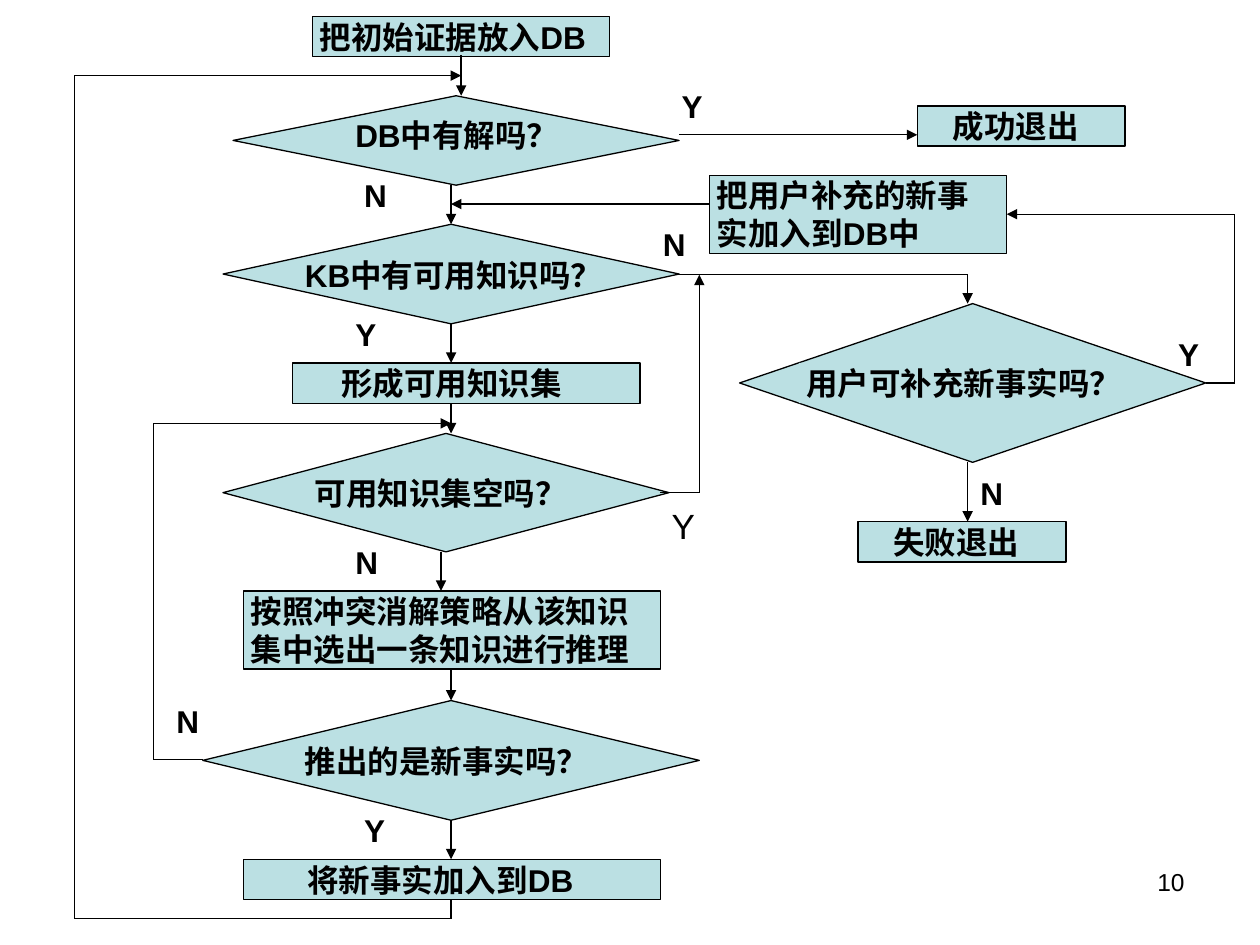
from dataclasses import dataclass

from lxml import etree
from pptx import Presentation
from pptx.dml.color import RGBColor
from pptx.enum.shapes import MSO_CONNECTOR, MSO_SHAPE
from pptx.enum.text import MSO_ANCHOR, PP_ALIGN
from pptx.oxml.ns import qn
from pptx.util import Inches, Pt

RECTANGLE, DIAMOND = MSO_SHAPE.RECTANGLE, MSO_SHAPE.DIAMOND
STRAIGHT = MSO_CONNECTOR.STRAIGHT
TOP = MSO_ANCHOR.TOP
LEFT, RIGHT = PP_ALIGN.LEFT, PP_ALIGN.RIGHT

COLORS = {"fill": "BBE0E3", "ink": "000000"}
FONT = "Arial"
LINE_WIDTH = Pt(0.75)
ROW = 0.32  # height of a one-line box
SPINE = 3.58  # x of the main downward flow
BRANCH = 7.68  # x of the right-hand flow

Box = tuple[float, float, float, float]
Point = tuple[float, float]


@dataclass
class Step:
    box: Box
    lines: list[str]
    indent: float = 0


@dataclass
class Decision:
    diamond: Box
    label: Box
    text: str
    filled_label: bool = True
    inset: float = 0.02


@dataclass
class Answer:
    text: str
    left: float
    top: float
    size: int = 18
    bold: bool = True


@dataclass
class Route:
    points: list[Point]
    arrow: bool = True


STEPS = [
    Step((2.48, 0.13, 2.36, ROW), ["把初始证据放入DB"]),
    Step((2.32, 2.88, 2.76, ROW), ["形成可用知识集"], 0.33),
    Step((1.93, 4.69, 3.31, 0.62), ["按照冲突消解策略从该知识", "集中选出一条知识进行推理"]),
    Step((1.93, 6.82, 3.31, ROW), ["将新事实加入到DB"], 0.45),
    Step((5.63, 1.39, 2.36, 0.62), ["把用户补充的新事", "实加入到DB中"]),
    Step((6.81, 4.14, 1.65, ROW), ["失败退出"], 0.22),
    Step((7.28, 0.84, 1.65, ROW), ["成功退出"], 0.22),
]

DECISIONS = [
    Decision((1.85, 0.76, 3.54, 0.71), (2.8, 0.91, 1.73, ROW), "DB中有解吗？", False),
    Decision((1.77, 1.78, 3.62, 0.79), (2.4, 2.02, 2.52, ROW), "KB中有可用知识吗？", False),
    Decision((1.77, 3.44, 3.54, 0.94), (2.48, 3.75, 2.13, ROW), "可用知识集空吗？"),
    Decision((1.61, 5.56, 3.94, 0.95), (2.4, 5.88, 2.44, ROW), "推出的是新事实吗？"),
    Decision((5.87, 2.41, 3.7, 1.26), (6.34, 2.88, 2.68, ROW), "用户可补充新事实吗？", inset=0.06),
]

ROUTES = [
    # Downward flow
    Route([(3.66, 0.44), (3.66, 0.76)]),
    Route([(SPINE, 1.47), (SPINE, 1.78)]),
    Route([(SPINE, 2.57), (SPINE, 2.88)]),
    Route([(SPINE, 3.2), (SPINE, 3.44)]),
    Route([(3.5, 4.38), (3.5, 4.69)]),
    Route([(SPINE, 5.32), (SPINE, 5.56)]),
    Route([(SPINE, 6.51), (SPINE, 6.82)]),
    # Loops on the left
    Route([(1.61, 6.03), (1.22, 6.03), (1.22, 3.36), (SPINE, 3.36)]),
    Route([(SPINE, 7.14), (SPINE, 7.29), (0.59, 7.29), (0.59, 0.6), (3.66, 0.6)]),
    # Branches on the right
    Route([(5.39, 1.07), (7.28, 1.07)]),
    Route([(5.63, 1.62), (SPINE, 1.62)]),
    Route([(9.57, 3.04), (9.8, 3.04), (9.8, 1.7), (7.99, 1.7)]),
    Route([(5.39, 2.18), (BRANCH, 2.18), (BRANCH, 2.41)]),
    Route([(5.24, 3.91), (5.55, 3.91), (5.55, 2.18)]),
    Route([(BRANCH, 3.67), (BRANCH, 4.14)]),
]

ANSWERS = [
    Answer("Y", 2.8, 2.49),
    Answer("N", 2.87, 1.39),
    Answer("N", 2.8, 4.3),
    Answer("Y", 2.87, 6.43),
    Answer("N", 5.24, 1.78),
    Answer("N", 1.38, 5.56),
    Answer("N", 7.76, 3.75),
    Answer("Y", 9.33, 2.65),
    Answer("Y", 5.39, 0.68),
    Answer("Y", 5.31, 3.99, 20, False),
]


def color(name: str) -> RGBColor:
    return RGBColor.from_string(COLORS[name])


def write_text(shape, lines: list[str], left_inset: float, inset: float,
               size: int = 18, bold: bool = True, align=LEFT) -> None:
    frame = shape.text_frame
    frame.word_wrap = True
    frame.vertical_anchor = TOP
    frame.margin_left, frame.margin_right = Inches(left_inset), Inches(inset)
    frame.margin_top = frame.margin_bottom = Inches(0.01)
    frame.text = "\n".join(lines)
    for paragraph in frame.paragraphs:
        paragraph.alignment = align
        paragraph.font.name = FONT
        paragraph.font.size = Pt(size)
        paragraph.font.bold = bold
        paragraph.font.color.rgb = color("ink")


def add_filled(slide, kind, box: Box, outlined: bool = True):
    shape = slide.shapes.add_shape(kind, *map(Inches, box))
    shape.shadow.inherit = False
    shape.fill.solid()
    shape.fill.fore_color.rgb = color("fill")
    if outlined:
        shape.line.color.rgb = color("ink")
        shape.line.width = LINE_WIDTH
    else:
        shape.line.fill.background()
    return shape


def add_step(slide, step: Step) -> None:
    shape = add_filled(slide, RECTANGLE, step.box)
    write_text(shape, step.lines, 0.06 + step.indent, 0.06)


def add_decision(slide, decision: Decision) -> None:
    add_filled(slide, DIAMOND, decision.diamond)
    if decision.filled_label:
        label = add_filled(slide, RECTANGLE, decision.label, outlined=False)
    else:
        label = slide.shapes.add_textbox(*map(Inches, decision.label))
    write_text(label, [decision.text], decision.inset, decision.inset)


def add_route(slide, route: Route) -> None:
    for start, end in zip(route.points, route.points[1:]):
        connector = slide.shapes.add_connector(STRAIGHT, *map(Inches, start + end))
        connector.line.color.rgb = color("ink")
        connector.line.width = LINE_WIDTH
        if route.arrow and end == route.points[-1]:
            line = connector.line._get_or_add_ln()
            etree.SubElement(line, qn("a:tailEnd"), type="triangle")
        etree.SubElement(connector._element.spPr, qn("a:effectLst"))


def add_answer(slide, answer: Answer) -> None:
    box = (answer.left, answer.top, 0.32, ROW)
    label = slide.shapes.add_textbox(*map(Inches, box))
    write_text(label, [answer.text], 0.02, 0.02, answer.size, answer.bold)


def main() -> None:
    presentation = Presentation()
    presentation.slide_width, presentation.slide_height = Inches(10), Inches(7.5)
    slide = presentation.slides.add_slide(presentation.slide_layouts[6])

    # Flowchart
    for step in STEPS:
        add_step(slide, step)
    for decision in DECISIONS:
        add_decision(slide, decision)
    for route in ROUTES:
        add_route(slide, route)
    for answer in ANSWERS:
        add_answer(slide, answer)

    # Slide number
    number = slide.shapes.add_textbox(*map(Inches, (7.17, 6.87, 2.33, 0.48)))
    write_text(number, ["10"], 0.1, 0.1, 14, False, RIGHT)

    presentation.save("out.pptx")


if __name__ == "__main__":
    main()
